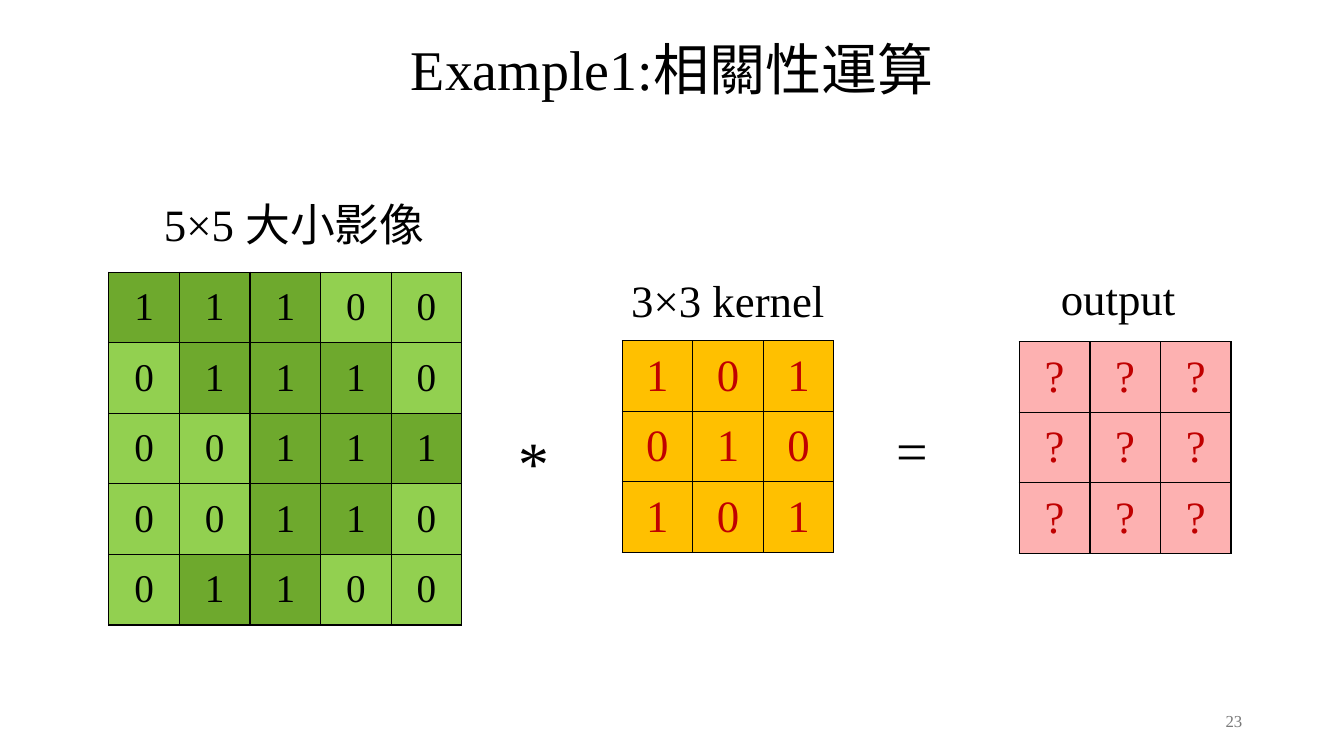
from lxml import etree
from pptx import Presentation
from pptx.dml.color import RGBColor
from pptx.enum.text import MSO_ANCHOR, PP_ALIGN
from pptx.oxml.ns import qn
from pptx.util import Inches, Pt

LEFT, CENTER, RIGHT = PP_ALIGN.LEFT, PP_ALIGN.CENTER, PP_ALIGN.RIGHT
TOP, MIDDLE = MSO_ANCHOR.TOP, MSO_ANCHOR.MIDDLE

THEME = {
    "font": "Times New Roman",
    "ink": "000000", "accent": "C00000", "muted": "797979",
    "image_one": "6EA92D", "image_zero": "92D050",
    "kernel": "FFC000", "output": "FDB1B1",
    "title": 40, "label": 32, "image": 28, "times": 44, "equals": 40, "number": 12,
}
CELL = 0.7
BORDER = 1

IMAGE = ["11100", "01110", "00111", "00110", "01100"]
KERNEL = ["101", "010", "101"]
OUTPUT = ["???"] * 3

GRIDS = [
    (IMAGE, 1.08, 2.7, "image", "ink", {"1": "image_one", "0": "image_zero"}),
    (KERNEL, 6.17, 3.38, "label", "accent", {"1": "kernel", "0": "kernel"}),
    (OUTPUT, 10.11, 3.39, "label", "accent", {"?": "output"}),
]
TEXTS = [
    ("Example1:相關性運算", (0, 0.29, 13.33, 0.77), "title", "ink", CENTER, TOP, True),
    ("5×5 大小影像", (1.19, 1.9, 3.46, 0.64), "label", "ink", CENTER, TOP, True),
    ("3×3 kernel", (5.49, 2.66, 3.46, 0.64), "label", "ink", CENTER, TOP, True),
    ("output", (9.36, 2.64, 3.46, 0.64), "label", "ink", CENTER, TOP, True),
    ("*", (5.04, 4.16, 0.48, 0.84), "times", "ink", LEFT, TOP, False),
    ("=", (8.79, 4.07, 0.5, 0.77), "equals", "ink", LEFT, TOP, False),
    ("23", (9.42, 6.95, 3, 0.4), "number", "muted", RIGHT, MIDDLE, True),
]


def color(name):
    return RGBColor.from_string(THEME[name])


def write(text_frame, text, size, ink, alignment):
    paragraph = text_frame.paragraphs[0]
    paragraph.alignment = alignment
    run = paragraph.add_run()
    run.text = text
    run.font.name = THEME["font"]
    run.font.size = Pt(THEME[size])
    run.font.color.rgb = color(ink)


def add_text(slide, text, box, size, ink, alignment, anchor, wrap):
    shape = slide.shapes.add_textbox(*map(Inches, box))
    shape.text_frame.word_wrap = wrap
    shape.text_frame.vertical_anchor = anchor
    write(shape.text_frame, text, size, ink, alignment)


def add_borders(cell):
    properties = cell._tc.get_or_add_tcPr()
    for index, side in enumerate(("a:lnL", "a:lnR", "a:lnT", "a:lnB")):
        line = etree.Element(qn(side), w=str(Pt(BORDER)))
        fill = etree.SubElement(line, qn("a:solidFill"))
        etree.SubElement(fill, qn("a:srgbClr"), val=THEME["ink"])
        properties.insert(index, line)


def add_grid(slide, rows, left, top, size, ink, fills):
    row_count, column_count = len(rows), len(rows[0])
    table = slide.shapes.add_table(
        row_count, column_count, Inches(left), Inches(top),
        Inches(CELL * column_count), Inches(CELL * row_count)).table
    table.first_row = table.horz_banding = False
    for column in table.columns:
        column.width = Inches(CELL)
    for row, values in zip(table.rows, rows):
        row.height = Inches(CELL)
        for cell, value in zip(row.cells, values):
            cell.vertical_anchor = MIDDLE
            cell.fill.solid()
            cell.fill.fore_color.rgb = color(fills[value])
            add_borders(cell)
            write(cell.text_frame, value, size, ink, CENTER)


def main():
    presentation = Presentation()
    presentation.slide_width = Inches(13.33)
    presentation.slide_height = Inches(7.5)
    slide = presentation.slides.add_slide(presentation.slide_layouts[6])
    for grid in GRIDS:
        add_grid(slide, *grid)
    for text in TEXTS:
        add_text(slide, *text)
    presentation.save("out.pptx")


if __name__ == "__main__":
    main()
